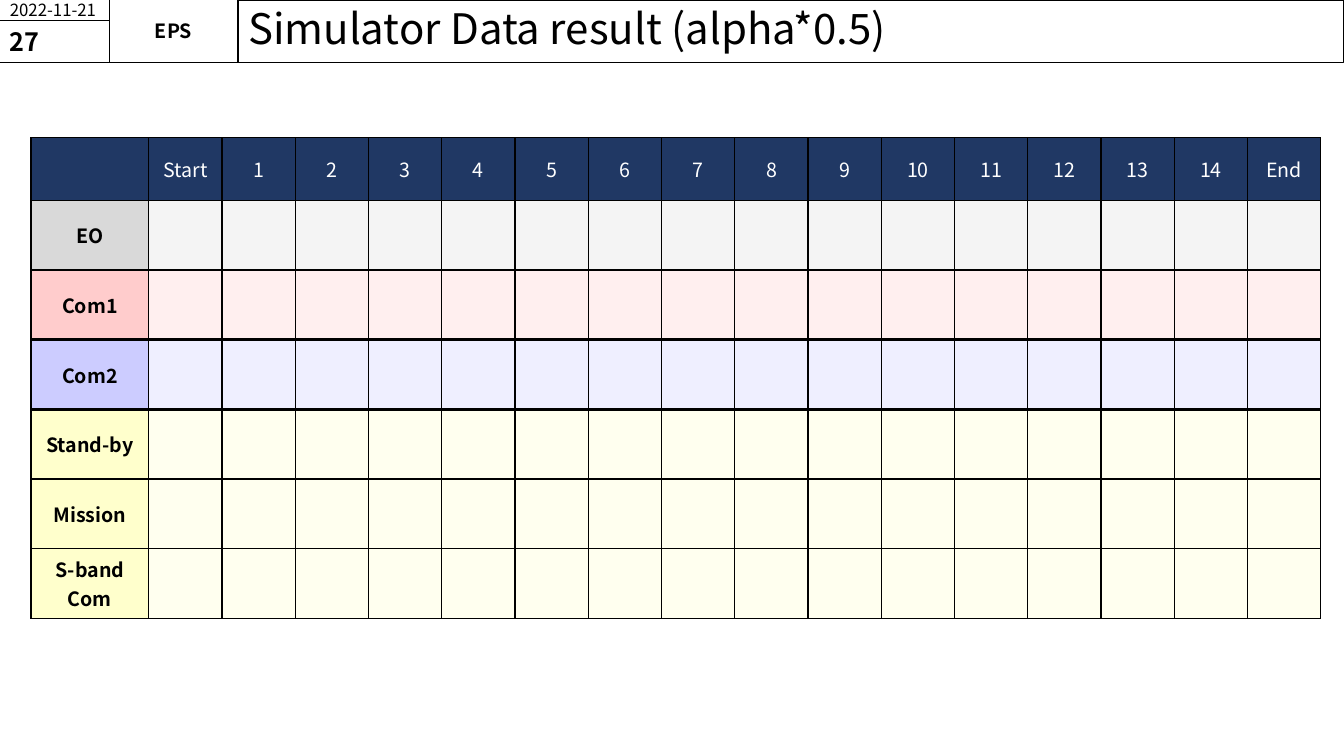
import pptx
import pptx.util
import pptx.dml.color
import pptx.enum.shapes
import pptx.enum.text
import pptx.oxml
import pptx.oxml.ns
import lxml.etree

Cm, Pt = pptx.util.Cm, pptx.util.Pt
Align, Anchor = pptx.enum.text.PP_ALIGN, pptx.enum.text.MSO_ANCHOR

THEME = {
    "font": "Noto Sans CJK KR",
    "ink": "000000", "paper": "FFFFFF", "navy": "203864",
    "grey": "D9D9D9", "pale grey": "DBDBDB",
    "red": "FFCCCC", "blue": "CCCCFF", "yellow": "FFFFCC",
    "title": 30, "number": 18, "label": 14, "date": 12,
    "frame": 0.75, "thin": 1, "thick": 2.25, "tint": 30,
}


def write(frame, text, size, color="ink", bold=False, align=Align.LEFT):
    frame.text = text
    frame.vertical_anchor = Anchor.MIDDLE
    para = frame.paragraphs[0]
    para.alignment = align
    span = para.runs[0]
    look = {"name": THEME["font"], "size": Pt(THEME[size]), "bold": bold}
    for name, value in look.items():
        setattr(span.font, name, value)
    span.font.color.rgb = pptx.dml.color.RGBColor.from_string(THEME[color])


def paint(cell, color, top, bottom, opacity=100):
    props = cell._tc.get_or_add_tcPr()
    sides = {"lnL": "thin", "lnR": "thin", "lnT": top, "lnB": bottom}
    for side, weight in sides.items():
        props.append(pptx.oxml.parse_xml(
            f'<a:{side} {pptx.oxml.ns.nsdecls("a")} w="{Pt(THEME[weight])}"><a:solidFill>'
            f'<a:srgbClr val="{THEME["ink"]}"/></a:solidFill></a:{side}>'))
    cell.fill.solid()
    cell.fill.fore_color.rgb = pptx.dml.color.RGBColor.from_string(THEME[color])
    if opacity < 100:
        tone = props.xpath("a:solidFill/a:srgbClr")[0]
        alpha = lxml.etree.SubElement(tone, pptx.oxml.ns.qn("a:alpha"))
        alpha.set("val", str(opacity * 1000))


deck = pptx.Presentation()
deck.slide_width, deck.slide_height = Cm(33.87), Cm(19.05)
page = deck.slides.add_slide(deck.slide_layouts[5])

# Header: title, date, section and page number
title = page.shapes.title
place = {"left": Cm(6), "top": Cm(0), "width": Cm(27.87), "height": Cm(1.57)}
for name, value in place.items():
    setattr(title, name, value)
write(title.text_frame, "Simulator Data result (alpha*0.5)", "title")
title.text_frame.paragraphs[0].line_spacing = 0.9

header_boxes = [title]
for text, left, top, width, height, size, bold in [
    ("2022-11-21", 0, 0, 2.75, 0.51, "date", False),
    ("EPS", 2.75, 0, 3.25, 1.57, "label", True),
    ("27", 0, 0.51, 2.75, 1.06, "number", True),
]:
    box = page.shapes.add_shape(pptx.enum.shapes.MSO_SHAPE.RECTANGLE,
                                Cm(left), Cm(top), Cm(width), Cm(height))
    box.shadow.inherit = False
    box.text_frame.word_wrap = True
    write(box.text_frame, text, size, bold=bold,
          align=Align.CENTER if text == "EPS" else Align.LEFT)
    if text == "EPS":
        for margin in ("left", "top", "right", "bottom"):
            setattr(box.text_frame, f"margin_{margin}", 0)
    header_boxes.append(box)

for box in header_boxes:
    box.fill.background()
    box.line.color.rgb = pptx.dml.color.RGBColor.from_string(THEME["ink"])
    box.line.width = Pt(THEME["frame"])

# Table size
headings = ["", "Start", *map(str, range(1, 15)), "End"]
modes = [  # label, label fill, tint, top border, bottom border
    ("EO", "grey", "pale grey", "thin", "thick"),
    ("Com1", "red", "red", "thick", "thick"),
    ("Com2", "blue", "blue", "thick", "thick"),
    ("Stand-by", "yellow", "yellow", "thick", "thin"),
    ("Mission", "yellow", "yellow", "thin", "thin"),
    ("S-band Com", "yellow", "yellow", "thin", "thin"),
]
table_width, label_width = 32.52, 2.97
step_width = (table_width - label_width) / (len(headings) - 1)
head_height, mode_height = 1.58, 1.755
table = page.shapes.add_table(
    len(modes) + 1, len(headings), Cm(0.78), Cm(3.47),
    Cm(table_width), Cm(head_height + mode_height * len(modes))).table
for index, column in enumerate(table.columns):
    column.width = Cm(step_width if index else label_width)
for index, row in enumerate(table.rows):
    row.height = Cm(mode_height if index else head_height)

# Heading row
for index, heading in enumerate(headings):
    cell = table.cell(0, index)
    paint(cell, "navy", "thin", "thin")
    cell.vertical_anchor = Anchor.MIDDLE
    if heading:
        write(cell.text_frame, heading, "label", "paper", align=Align.CENTER)

# Mode rows
for row, (label, fill, tint, top, bottom) in enumerate(modes, 1):
    cell = table.cell(row, 0)
    paint(cell, fill, top, bottom)
    cell.vertical_anchor = Anchor.MIDDLE
    write(cell.text_frame, label, "label", bold=True, align=Align.CENTER)
    for column in range(1, len(headings)):
        paint(table.cell(row, column), tint, top, bottom, THEME["tint"])

deck.save("out.pptx")
